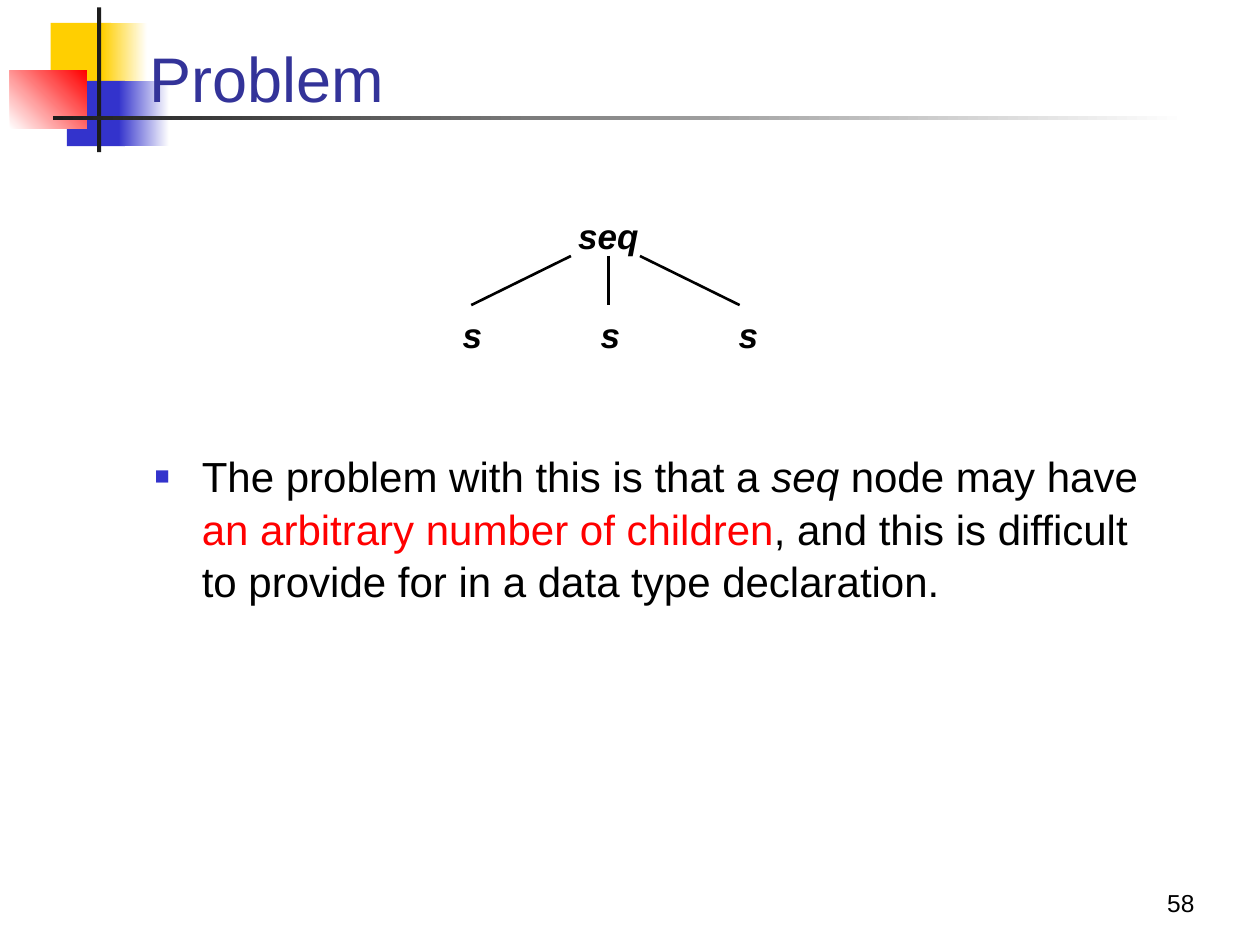
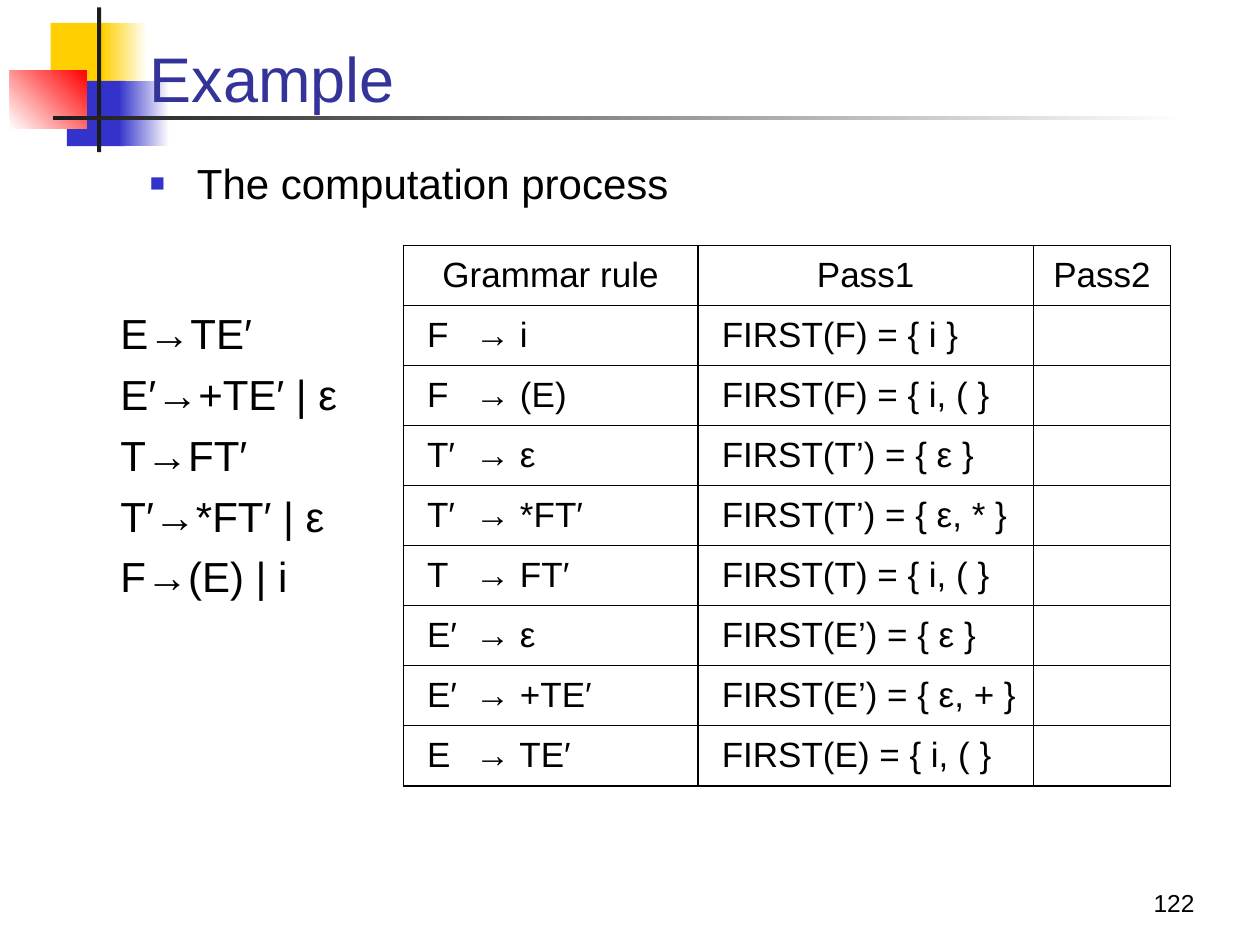
from pptx import Presentation
from pptx.dml.color import RGBColor
from pptx.enum.shapes import MSO_CONNECTOR, MSO_SHAPE
from pptx.enum.text import MSO_ANCHOR, PP_ALIGN
from pptx.oxml import parse_xml
from pptx.oxml.ns import nsdecls
from pptx.oxml.xmlchemy import OxmlElement
from pptx.util import Cm, Pt

FONT = "Arial"
COLORS = {
    "yellow": "FFCF01", "blue": "3333CC", "red": "FF0000", "white": "FFFFFF",
    "dark": "1C1C1C", "title": "333399", "text": "000000",
}


def add_box(s, x, y, w, h, anchor=MSO_ANCHOR.TOP):
    tf = s.shapes.add_textbox(Cm(x), Cm(y), Cm(w), Cm(h)).text_frame
    tf.word_wrap = True
    tf.vertical_anchor = anchor
    return tf


def write(p, text, size=24, color="text", bold=False, italic=False, align=PP_ALIGN.LEFT,
          spacing=None, before=None, bullet=False, indent=0, tab=None):
    p.alignment = align
    p.line_spacing = spacing
    if before:
        p.space_before = Pt(before)
    pPr = p._p.get_or_add_pPr()
    if bullet:
        pPr.set("marL", str(Cm(0.95)))
        pPr.set("indent", str(-Cm(0.95)))
        ns = nsdecls("a")
        pPr.append(parse_xml(f'<a:buClr {ns}><a:srgbClr val="{COLORS["blue"]}"/></a:buClr>'))
        pPr.append(parse_xml(f'<a:buSzPct {ns} val="60000"/>'))
        pPr.append(parse_xml(f'<a:buFont {ns} typeface="{FONT}"/>'))
        pPr.append(parse_xml(f'<a:buChar {ns} char="■"/>'))
    elif indent:
        pPr.set("marL", "0")
        pPr.set("indent", str(Cm(indent)))
    if tab:
        pPr.append(parse_xml(
            f'<a:tabLst {nsdecls("a")}><a:tab pos="{Cm(tab)}" algn="l"/></a:tabLst>'))
    runs = [(text, {})] if isinstance(text, str) else text
    for part, fmt in runs:
        r = p.add_run()
        r.text = part
        r.font.name = FONT
        r.font.size = Pt(size)
        r.font.bold = bold
        r.font.italic = fmt.get("italic", italic)
        r.font.color.rgb = RGBColor.from_string(COLORS[fmt.get("color", color)])


prs = Presentation()
prs.slide_width = Cm(25.4)
prs.slide_height = Cm(19.05)

bands = [
    (1.02, 0.46, 1.22, 1.32, "yellow", None, 0),
    (2.06, 0.46, 0.91, 1.32, "yellow", "white", 0),
    (1.35, 1.63, 1.17, 1.32, "blue", None, 0),
    (2.39, 1.63, 1.02, 1.32, "blue", "white", 0),
    (0.2, 1.42, 1.55, 1.17, "white", "red", 45),
    (1.96, 0.15, 0.08, 2.92, "dark", None, 0),
    (1.07, 2.34, 22.86, 0.08, "dark", "white", 0),
]
slides = []
for title, number in [("Problem", "58"), ("Example", "122")]:
    s = prs.slides.add_slide(prs.slide_layouts[6])
    slides.append(s)
    for x, y, w, h, start, end, angle in bands:
        sp = s.shapes.add_shape(MSO_SHAPE.RECTANGLE, Cm(x), Cm(y), Cm(w), Cm(h))
        sp.shadow.inherit = False
        sp.line.fill.background()
        if end:
            sp.fill.gradient()
            sp.fill.gradient_angle = angle
            for stop, color, position in zip(sp.fill.gradient_stops, (start, end), (0, 1)):
                stop.color.rgb = RGBColor.from_string(COLORS[color])
                stop.position = position
        else:
            sp.fill.solid()
            sp.fill.fore_color.rgb = RGBColor.from_string(COLORS[start])
    tf = add_box(s, 2.77, 0.53, 21.64, 1.93, MSO_ANCHOR.BOTTOM)
    write(tf.paragraphs[0], title, size=36, color="title", spacing=0.85)
    tf = add_box(s, 19.05, 17.35, 5.28, 1.27, MSO_ANCHOR.BOTTOM)
    write(tf.paragraphs[0], number, size=14, align=PP_ALIGN.RIGHT)

problem, example = slides

tf = add_box(problem, 2.87, 8.9, 20.96, 5.1)
write(tf.paragraphs[0], [
    ("The problem with this is that a ", {}),
    ("seq", {"italic": True}),
    (" node may have ", {}),
    ("an arbitrary number of children", {"color": "red"}),
    (", and this is difficult to provide for in a data type declaration.", {}),
], bullet=True, spacing=1.05)

for x1, x2 in [(11.51, 9.5), (12.27, 12.27), (12.9, 14.91)]:
    line = problem.shapes.add_connector(
        MSO_CONNECTOR.STRAIGHT, Cm(x1), Cm(5.16), Cm(x2), Cm(6.15))
    line.line.width = Pt(1.5)
    line.line.color.rgb = RGBColor.from_string(COLORS["text"])
    line._element.spPr.append(OxmlElement("a:effectLst"))

nodes = [("seq", 11.07, 4.37)] + [("s", 8.33 + 2.78 * i, 6.35) for i in range(3)]
for name, x, y in nodes:
    tf = add_box(problem, x, y, 2.39, 0.94)
    write(tf.paragraphs[0], name, size=20, bold=True, italic=True,
          align=PP_ALIGN.CENTER, spacing=0.8)

tf = add_box(example, 2.77, 3, 21.59, 1.3)
write(tf.paragraphs[0], "The computation process", bullet=True, spacing=1.05)

rows = [
    ("Grammar rule", "Pass1", "Pass2"),
    ("F\t→ i", "FIRST(F) = { i }", ""),
    ("F\t→ (E)", "FIRST(F) = { i, ( }", ""),
    ("T′\t→ ε", "FIRST(T’) = { ε }", ""),
    ("T′\t→ *FT′", "FIRST(T’) = { ε, * }", ""),
    ("T\t→ FT′", "FIRST(T) = { i, ( }", ""),
    ("E′\t→ ε", "FIRST(E’) = { ε }", ""),
    ("E′\t→ +TE′", "FIRST(E’) = { ε, + }", ""),
    ("E\t→ TE′", "FIRST(E) = { i, ( }", ""),
]
widths = [5.94, 6.76, 2.77]
row_height = 1.21
table = example.shapes.add_table(
    len(rows), len(widths), Cm(8.13), Cm(4.95),
    Cm(sum(widths)), Cm(row_height * len(rows))).table
table.first_row = False
table.horz_banding = False
for column, width in zip(table.columns, widths):
    column.width = Cm(width)
for i, row in enumerate(rows):
    table.rows[i].height = Cm(row_height)
    for j, text in enumerate(row):
        cell = table.cell(i, j)
        cell.vertical_anchor = MSO_ANCHOR.MIDDLE
        cell.margin_left = cell.margin_right = Cm(0.18)
        cell.margin_top = cell.margin_bottom = 0
        tcPr = cell._tc.get_or_add_tcPr()
        for side in "LRTB":
            tcPr.append(parse_xml(
                f'<a:ln{side} {nsdecls("a")} w="{Pt(1)}"><a:solidFill>'
                f'<a:srgbClr val="{COLORS["text"]}"/></a:solidFill></a:ln{side}>'))
        cell.fill.background()
        p = cell.text_frame.paragraphs[0]
        if i == 0:
            write(p, text, size=20, align=PP_ALIGN.CENTER)
        elif text:
            write(p, text, size=20, indent=0.3, tab=1.2 if j == 0 else None)

tf = add_box(example, 2.18, 6.07, 5.36, 6.25)
for i, rule in enumerate(["E→TE′", "E′→+TE′ | ε", "T→FT′", "T′→*FT′ | ε", "F→(E) | i"]):
    p = tf.add_paragraph() if i else tf.paragraphs[0]
    write(p, rule, before=6 if i else None)

prs.save("out.pptx")
